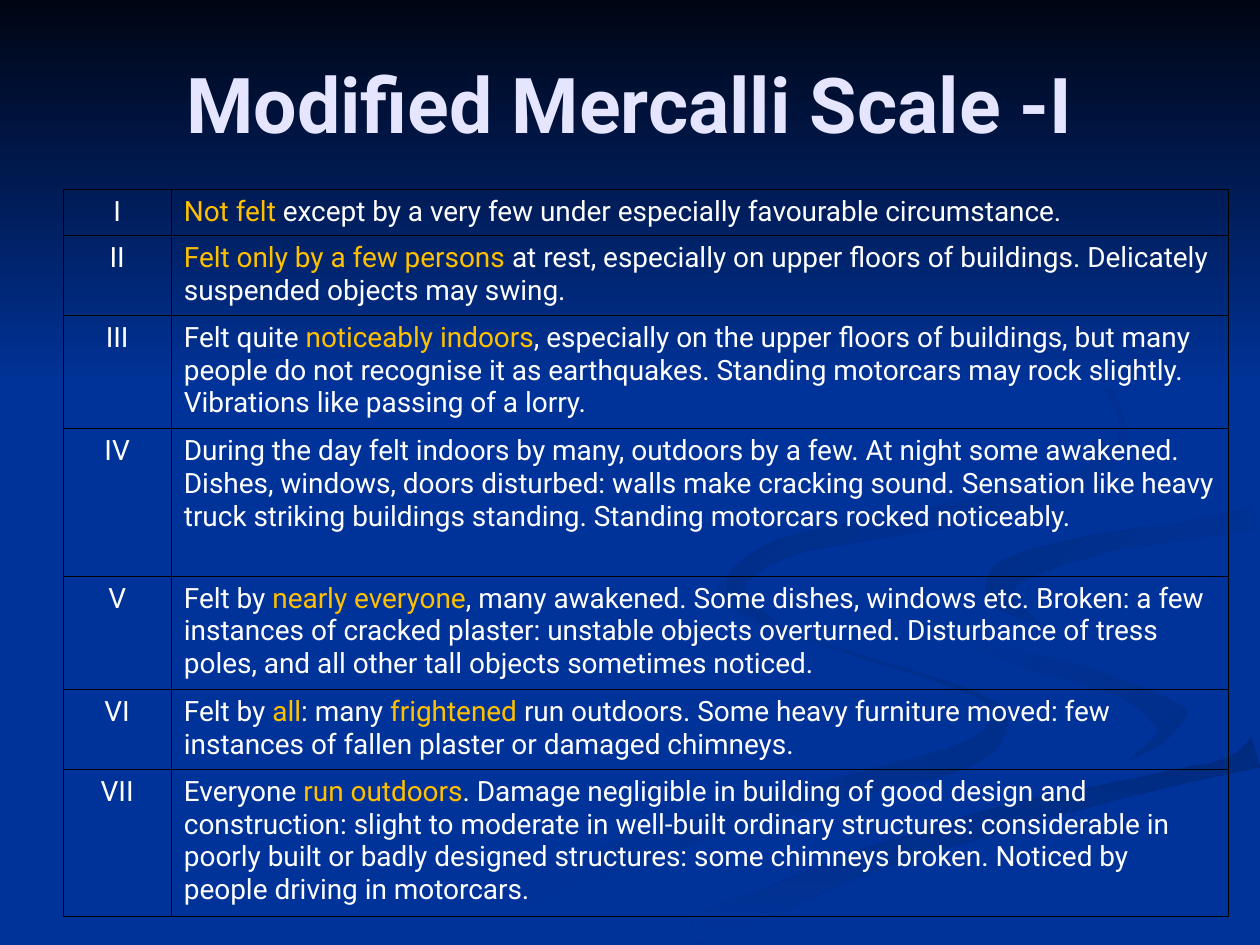
from math import hypot
from lxml.etree import SubElement
from pptx import Presentation
from pptx.dml.color import RGBColor
from pptx.enum.shapes import MSO_SHAPE
from pptx.enum.text import MSO_ANCHOR, PP_ALIGN
from pptx.oxml.ns import qn
from pptx.util import Pt

PX = 9144
WHITE, GOLD, BLUE, LILAC = "FFFFFF", "FFC000", "003399", "E5E5FF"
NIGHT, STEPS = "000514", 6
PAD, LINE = 10, 26.67

STREAM = [(275, 226, 0), (274, 238, 6), (300, 258, 6), (358, 280, 2), (445, 307, 3),
          (486, 325, 4), (493, 342, 14), (464, 367, 20), (364, 394, 18),
          (220, 435, 23), (50, 503, 26)]
HOOK = [(424, 231, 0), (430, 247, 5), (452, 265, 9), (513, 290, 14),
        (585, 310, 16), (623, 330, 26), (630, 352, 24), (594, 372, 0)]
TAIL = [(696, 362, 28), (564, 397, 20), (397, 447, 20), (300, 487, 22), (250, 502, 28)]
BEND = [(697, 161, 14), (633, 172, 14), (560, 184, 14), (487, 200, 28),
        (456, 229, 54), (488, 262, 32), (560, 284, 20), (650, 314, 36),
        (668, 340, 56), (610, 374, 16), (465, 409, 9), (340, 450, 12), (205, 503, 16)]
CREST = [(696, 178, 18), (636, 189, 14), (571, 199, 16), (508, 218, 22),
         (494, 232, 24), (498, 245, 15), (526, 263, 0)]
ARC = [(462, 0, 0), (518, 28, 3), (570, 65, 6), (590, 100, 4), (586, 124, 10),
       (555, 149, 15), (489, 169, 18), (380, 189, 16), (320, 203, 15),
       (287, 224, 16), (289, 243, 12), (322, 267, 0)]

SWIRLS = [
    (STREAM, BLUE, "002E8B", 0),
    (HOOK, BLUE, "002E8B", 45),
    (TAIL, "002A7D", BLUE, 90),
    (BEND, BLUE, BLUE, 0),
    (CREST, "002D86", BLUE, 45),
    (ARC, "002B82", BLUE, 45),
]

LEVELS = [
    ("I", 1, "*Not felt *except by a very few under especially favourable "
     "circumstance."),
    ("II", 2, "*Felt only by a few persons *at rest, especially on upper floors "
     "of buildings. Delicately suspended objects may swing."),
    ("III", 3, "Felt quite *noticeably indoors*, especially on the upper floors "
     "of buildings, but many people do not recognise it as earthquakes. Standing "
     "motorcars may rock slightly. Vibrations like passing of a lorry."),
    ("IV", 4, "During the day felt indoors by many, outdoors by a few. At night "
     "some awakened. Dishes, windows, doors disturbed: walls make cracking sound. "
     "Sensation like heavy truck striking buildings standing. Standing motorcars "
     "rocked noticeably."),
    ("V", 3, "Felt by *nearly everyone*, many awakened. Some dishes, windows etc. "
     "Broken: a few instances of cracked plaster: unstable objects overturned. "
     "Disturbance of tress poles, and all other tall objects sometimes noticed."),
    ("VI", 2, "Felt by *all*: many* frightened *run outdoors. Some heavy furniture "
     "moved: few instances of fallen plaster or damaged chimneys."),
    ("VII", 4, "Everyone *run outdoors*. Damage negligible in building of good "
     "design and construction: slight to moderate in well-built ordinary "
     "structures: considerable in poorly built or badly designed structures: some "
     "chimneys broken. Noticed by people driving in motorcars."),
]


def paint(color):
    return RGBColor.from_string(color)


def scale(*sizes):
    return [size * PX for size in sizes]


def write(frame, text, size=16, color=WHITE, bold=False, align=PP_ALIGN.LEFT):
    frame.word_wrap = True
    para = frame.paragraphs[0]
    para.alignment = align
    for spot, part in enumerate(text.split("*")):
        if part:
            run = para.add_run()
            run.text = part
            font = run.font
            font.name, font.size, font.bold = "Roboto", Pt(size), bold
            font.color.rgb = paint(GOLD if spot % 2 else color)


def shade(shape, start, end, angle):
    shape.shadow.inherit = False
    shape.line.fill.background()
    if start == end:
        shape.fill.solid()
        shape.fill.fore_color.rgb = paint(start)
        return
    shape.fill.gradient()
    shape.fill.gradient_angle = -angle % 360
    for stop, color, place in zip(shape.fill.gradient_stops, (start, end), (0, 1)):
        stop.color.rgb = paint(color)
        stop.position = place


def blend(a, b, c, d, t):
    return b + t * (c - a + t * (2 * a - 5 * b + 4 * c - d
                                 + t * (3 * b - a - 3 * c + d))) / 2


def smooth(nodes):
    ends = [nodes[0], *nodes, nodes[-1]]
    curve = []
    for group in zip(ends, ends[1:], ends[2:], ends[3:]):
        for step in range(STEPS):
            curve.append([blend(*axis, step / STEPS) for axis in zip(*group)])
    return curve + [nodes[-1]]


def outline(nodes):
    curve = smooth(nodes)
    near, far = [], []
    for back, (x, y, wide), ahead in zip(curve[:1] + curve, curve,
                                         curve[1:] + curve[-1:]):
        run, rise = ahead[0] - back[0], ahead[1] - back[1]
        half = max(wide, 0) / 2 / hypot(run, rise)
        near.append((x - rise * half, y + run * half))
        far.append((x + rise * half, y - run * half))
    return near + far[::-1]


def add_swirls(slide, left, top):
    for nodes, start, end, angle in SWIRLS:
        points = outline(nodes)
        form = slide.shapes.build_freeform(*points[0], scale=PX)
        form.add_line_segments(points[1:], close=True)
        shade(form.convert_to_shape(*scale(left, top)), start, end, angle)


def add_sky(slide, *box):
    band = slide.shapes.add_shape(MSO_SHAPE.RECTANGLE, *scale(*box))
    shade(band, NIGHT, BLUE, 90)


def add_title(slide, *box):
    frame = slide.shapes.add_textbox(*scale(*box)).text_frame
    frame.vertical_anchor = MSO_ANCHOR.MIDDLE
    write(frame, "Modified Mercalli Scale -I", size=44, color=LILAC,
          bold=True, align=PP_ALIGN.CENTER)


def rule(cell):
    props = cell._tc.get_or_add_tcPr()
    for side in "LRTB":
        line = SubElement(props, qn(f"a:ln{side}"), w=str(int(Pt(0.45))))
        fill = SubElement(line, qn("a:solidFill"))
        SubElement(fill, qn("a:srgbClr"), val="000000")
    cell.fill.background()


def add_levels(slide, left, top, width, first):
    heights = [round(PAD + LINE * lines) for _, lines, _ in LEVELS]
    box = scale(left, top, width, sum(heights))
    table = slide.shapes.add_table(len(LEVELS), 2, *box).table
    table.first_row = table.horz_banding = False
    for column, wide in zip(table.columns, scale(first, width - first)):
        column.width = wide
    for row, tall, (level, _, effect) in zip(table.rows, scale(*heights), LEVELS):
        row.height = tall
        for cell in row.cells:
            rule(cell)
        write(row.cells[0].text_frame, level, align=PP_ALIGN.CENTER)
        write(row.cells[1].text_frame, effect)


def main():
    deck = Presentation()
    deck.slide_width, deck.slide_height = scale(1000, 750)
    slide = deck.slides.add_slide(deck.slide_layouts[6])
    slide.background.fill.solid()
    slide.background.fill.fore_color.rgb = paint(BLUE)
    add_swirls(slide, 300, 233)
    add_sky(slide, 0, 0, 1000, 308)
    add_title(slide, 50, 30, 900, 103)
    add_levels(slide, 50, 150, 925, 86)
    deck.save("out.pptx")


if __name__ == "__main__":
    main()
